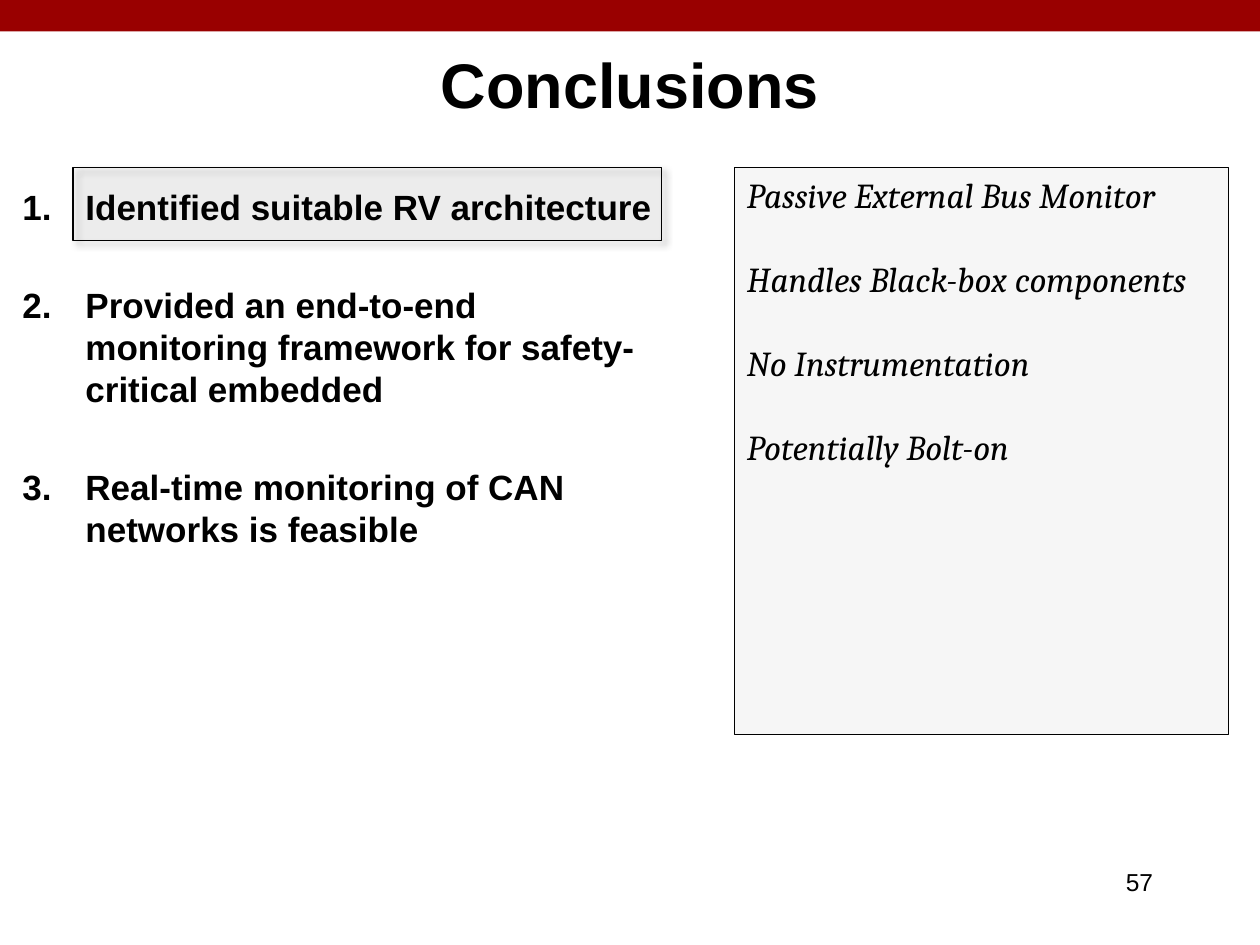
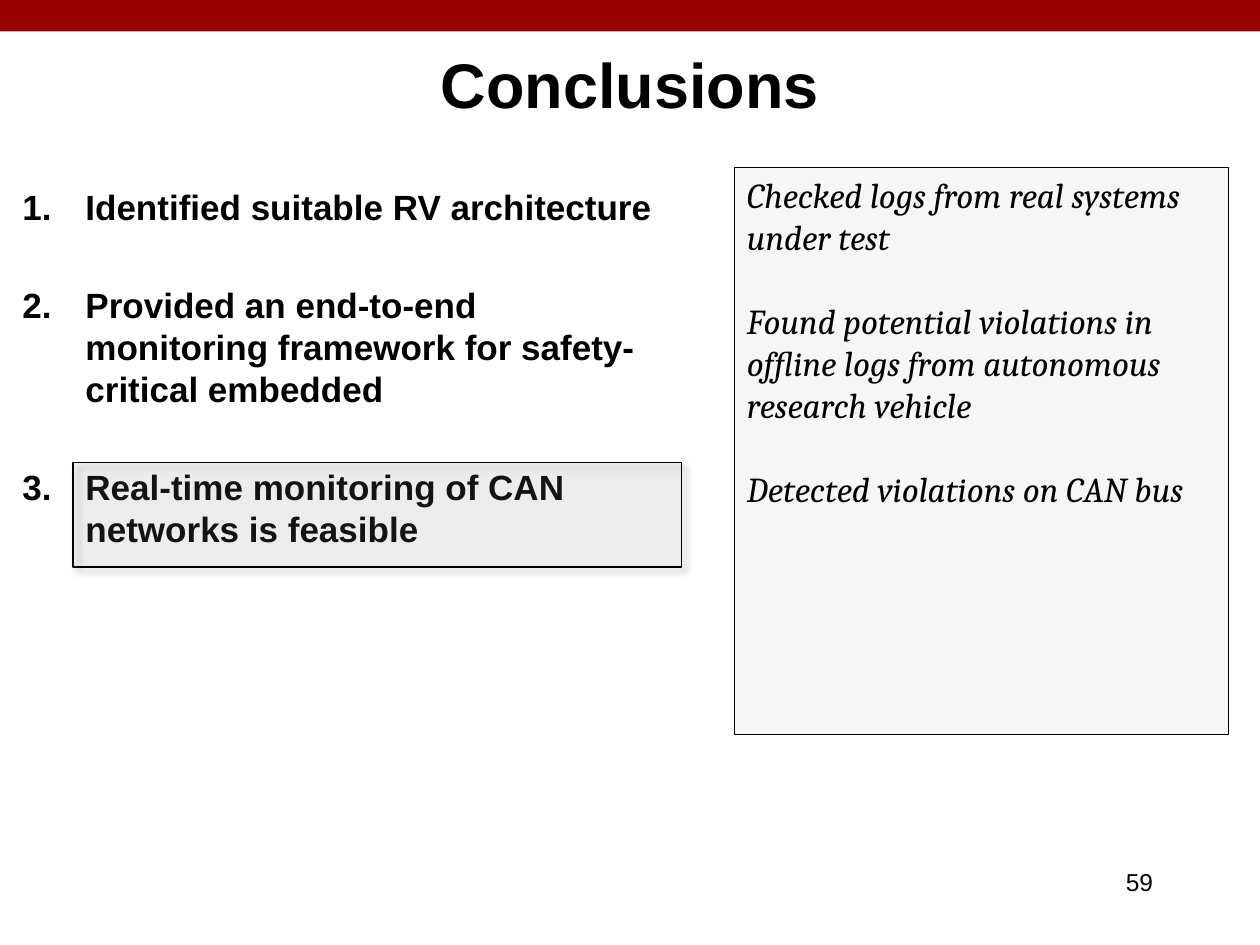
from pptx import Presentation
from pptx.dml.color import RGBColor as RGB
from pptx.enum.shapes import MSO_SHAPE as Shape
from pptx.enum.text import MSO_ANCHOR as Anchor, MSO_AUTO_SIZE as Fit, PP_ALIGN as Align
from pptx.oxml import parse_xml
from pptx.oxml.ns import nsdecls, qn
from pptx.util import Inches, Pt
from lxml import etree

# Content
TITLE = "Conclusions"
POINTS = [
    "Identified suitable RV architecture",
    "Provided an end-to-end monitoring framework for safety-critical embedded",
    "Real-time monitoring of CAN networks is feasible",
]
SLIDES = [
    {
        "page": "57",
        "mark": (0.58, 1.33, 4.67, 0.58),
        "above": False,
        "notes": [
            "Passive External Bus Monitor",
            "Handles Black-box components",
            "No Instrumentation",
            "Potentially Bolt-on",
        ],
    },
    {
        "page": "59",
        "mark": (0.58, 3.67, 4.83, 0.83),
        "above": True,
        "notes": [
            "Checked logs from real systems under test",
            "Found potential violations in offline logs from autonomous research vehicle",
            "Detected violations on CAN bus",
        ],
    },
]

# Shared places, colours and text formats
BAND = (0, 0, 10, 0.25)
HEAD = (0.75, 0.25, 8.5, 0.83)
LIST = (0.08, 1.42, 5.33, 5.08)
PANEL = (5.83, 1.33, 3.92, 4.5)
PAGE = (7.17, 6.83, 2.08, 0.5)
RED, GREY, BLACK = "990000", "B2B2B2", "000000"
BIG = {"name": "Arial", "size": Pt(36), "bold": True}
BOLD = {"name": "Arial", "size": Pt(20), "bold": True}
SERIF = {"name": "Cambria", "size": Pt(20), "italic": True}
SMALL = {"name": "Arial", "size": Pt(14)}


def color(code):
    return RGB.from_string(code)


def place(box):
    return [Inches(n) for n in box]


def write(shape, lines, form, align=Align.LEFT, gap=0, count=False, anchor=Anchor.TOP):
    frame = shape.text_frame
    frame.auto_size, frame.word_wrap = Fit.NONE, True
    frame.vertical_anchor = anchor
    for i, line in enumerate(lines):
        para = frame.add_paragraph() if i else frame.paragraphs[0]
        para.alignment = align
        para.space_before = Pt(gap if i else 0)
        if count:
            props = para._p.get_or_add_pPr()
            props.set("marL", str(Inches(0.5)))
            props.set("indent", str(Inches(-0.5)))
            etree.SubElement(props, qn("a:buFont"), typeface="+mj-lt")
            etree.SubElement(props, qn("a:buAutoNum"), type="arabicPeriod")
        run = para.add_run()
        run.text = line
        for key, value in form.items():
            setattr(run.font, key, value)
        run.font.color.rgb = color(BLACK)


def rect(slide, box, fill):
    shape = slide.shapes.add_shape(Shape.RECTANGLE, *place(box))
    shape.shadow.inherit = False
    shape.fill.solid()
    shape.fill.fore_color.rgb = color(fill)
    shape.line.fill.background()
    return shape


def pane(slide, box):
    """Rectangle with a faint grey fill and a thin black outline."""
    shape = rect(slide, box, GREY)
    tint = shape._element.spPr.find(qn("a:solidFill"))[0]
    etree.SubElement(tint, qn("a:alpha"), val="11000")
    shape.line.color.rgb = color(BLACK)
    shape.line.width = Pt(0.75)
    return shape


def mark(slide, box):
    """Shadowed frame around the current point."""
    shape = pane(slide, box)
    shape._element.spPr.find(qn("a:effectLst")).append(parse_xml(
        f'<a:outerShdw {nsdecls("a")} blurRad="{Pt(4)}" dist="{Pt(3)}" '
        f'dir="{45 * 60000}" algn="tl" rotWithShape="0">'
        f'<a:srgbClr val="{BLACK}"><a:alpha val="40000"/></a:srgbClr></a:outerShdw>'))


def text(slide, box, lines, form, **opts):
    write(slide.shapes.add_textbox(*place(box)), lines, form, **opts)


def build(deck, data):
    slide = deck.slides.add_slide(deck.slide_layouts[5])
    rect(slide, BAND, RED)

    # Title
    head = slide.shapes.title
    head.left, head.top, head.width, head.height = place(HEAD)
    write(head, [TITLE], BIG, align=Align.CENTER, anchor=Anchor.MIDDLE)

    # Numbered points with the current one framed
    if not data["above"]:
        mark(slide, data["mark"])
    text(slide, LIST, POINTS, BOLD, gap=32, count=True)
    if data["above"]:
        mark(slide, data["mark"])

    # Details and page number
    write(pane(slide, PANEL), data["notes"], SERIF, gap=24)
    text(slide, PAGE, [data["page"]], SMALL, align=Align.RIGHT)


def main():
    deck = Presentation()
    deck.slide_width, deck.slide_height = Inches(10), Inches(7.5)
    for data in SLIDES:
        build(deck, data)
    deck.save("out.pptx")


if __name__ == "__main__":
    main()
